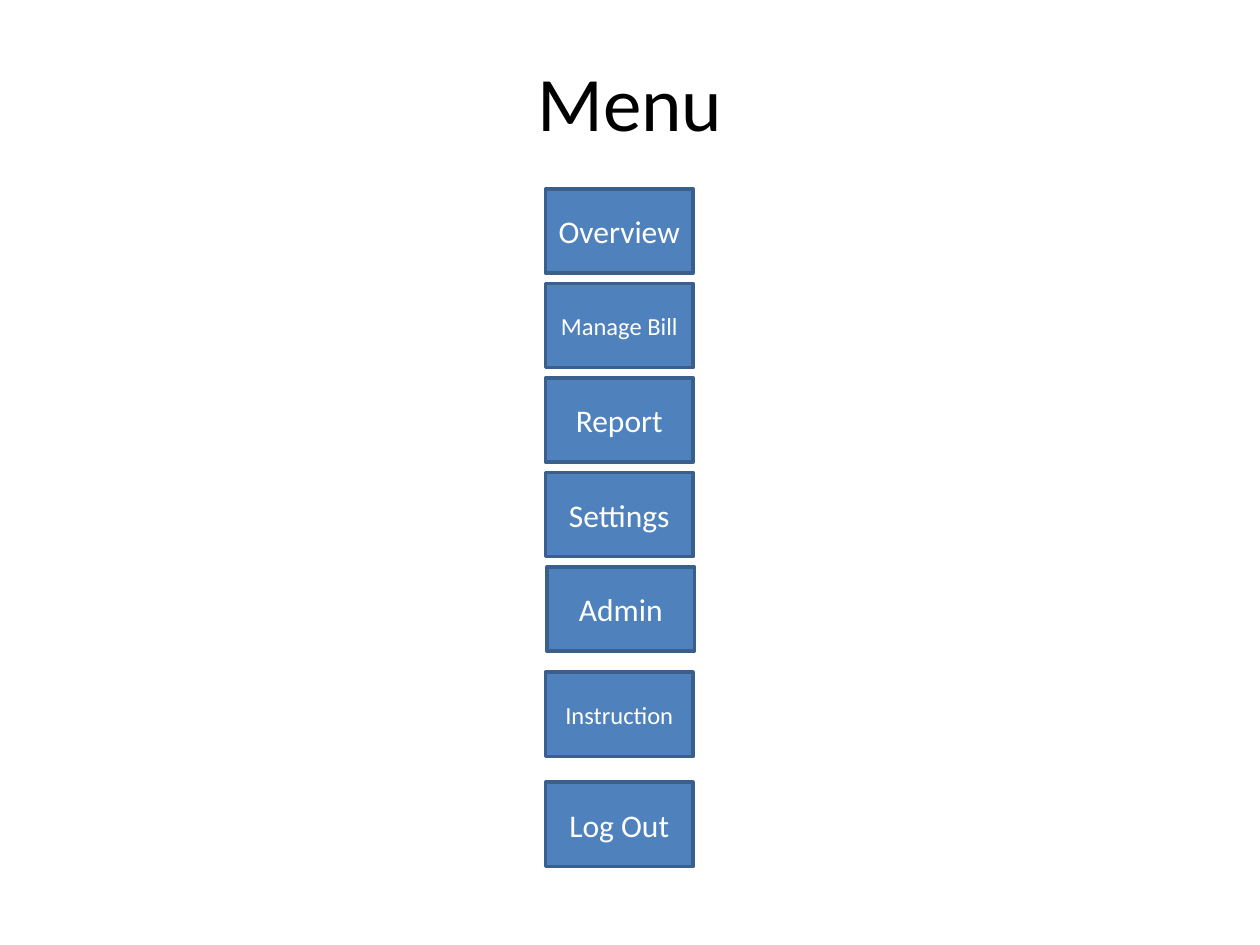
from dataclasses import dataclass

from pptx import Presentation
from pptx import util as u
from pptx.dml.color import RGBColor
from pptx.enum import shapes, text

COLOURS = {"title": "000000", "label": "FFFFFF", "button": "4F81BD", "border": "3A5F8C"}
FONT = "Calibri"
LEFT, FIRST_TOP, PITCH = 11.0, 3.81, 1.905
WIDTH, HEIGHT = 2.97, 1.7


@dataclass
class Button:
    label: str
    top: float
    size: int = 18
    left: float = LEFT


def colour(name: str) -> RGBColor:
    return RGBColor.from_string(COLOURS[name])


def row(index: int) -> float:
    return FIRST_TOP + index * PITCH


def write(box, words: str, size: int, shade: str) -> None:
    """Put one centred line of text in the middle of a box."""
    frame = box.text_frame
    frame.word_wrap = True
    frame.vertical_anchor = text.MSO_ANCHOR.MIDDLE
    para = frame.paragraphs[0]
    para.alignment = text.PP_ALIGN.CENTER
    span = para.add_run()
    span.text = words
    span.font.name = FONT
    span.font.size = u.Pt(size)
    span.font.color.rgb = colour(shade)


def draw_button(page, button: Button) -> None:
    box = page.shapes.add_shape(
        shapes.MSO_SHAPE.RECTANGLE,
        u.Cm(button.left), u.Cm(button.top), u.Cm(WIDTH), u.Cm(HEIGHT))
    box.shadow.inherit = False
    box.fill.solid()
    box.fill.fore_color.rgb = colour("button")
    box.line.color.rgb = colour("border")
    box.line.width = u.Pt(2)
    write(box, button.label, button.size, "label")


# The last two buttons stand apart from the even rows
BUTTONS = [
    Button("Overview", row(0)),
    Button("Manage Bill", row(1), size=14),
    Button("Report", row(2)),
    Button("Settings", row(3)),
    Button("Instruction", 13.55, size=14),
    Button("Log Out", 15.77),
    Button("Admin", row(4), left=11.03),
]


def main() -> None:
    deck = Presentation()
    deck.slide_width, deck.slide_height = u.Cm(25.4), u.Cm(19.05)
    page = deck.slides.add_slide(deck.slide_layouts[6])

    # Title
    title = page.shapes.add_textbox(u.Cm(1.9), u.Cm(0), u.Cm(21.6), u.Cm(4.08))
    write(title, "Menu", 44, "title")

    # Menu buttons
    for button in BUTTONS:
        draw_button(page, button)

    deck.save("out.pptx")


if __name__ == "__main__":
    main()
